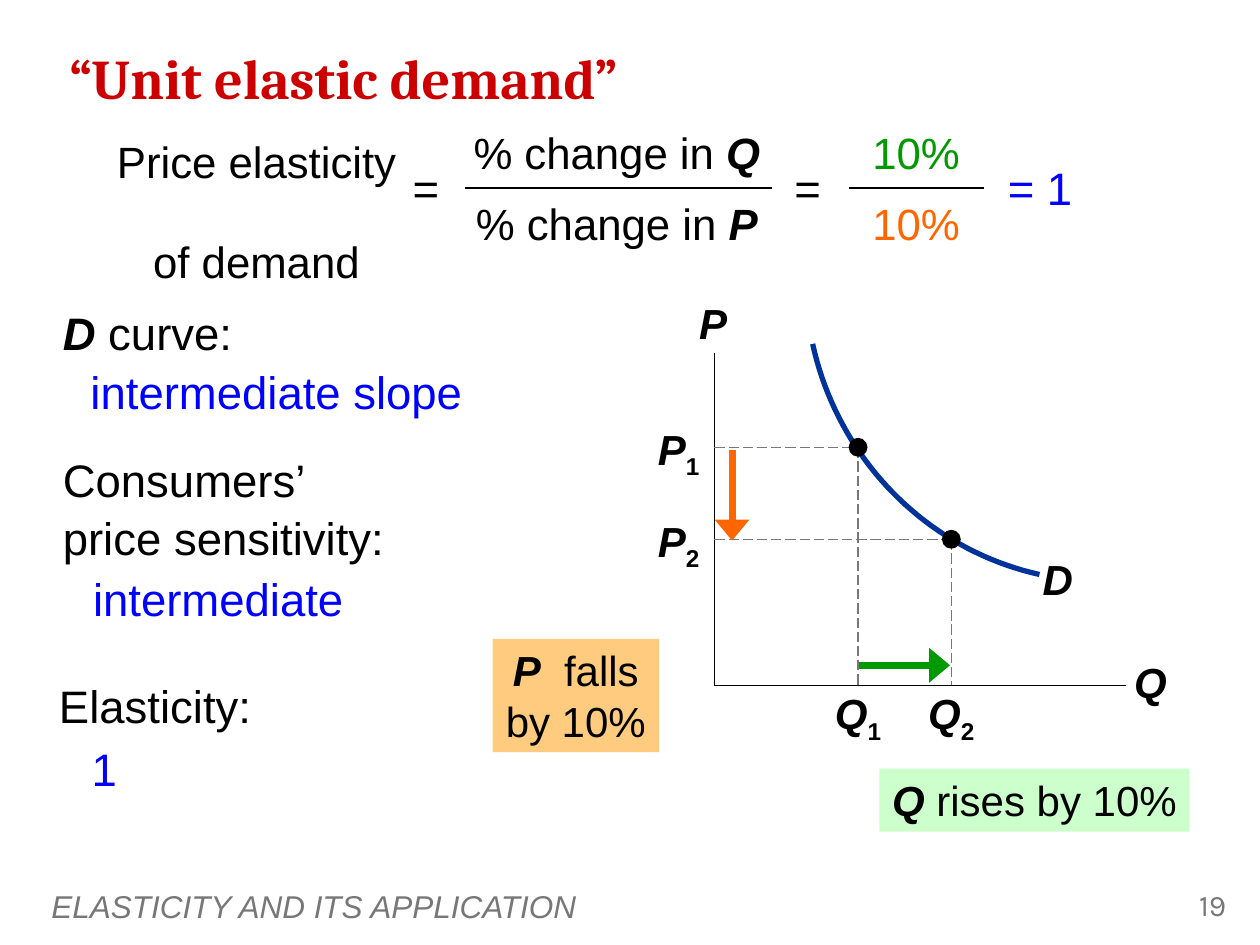
from lxml import etree
from pptx import Presentation, util as u
from pptx.dml.color import RGBColor
from pptx.enum import dml, shapes, text
from pptx.oxml.ns import qn

BLACK, GREY = RGBColor(0, 0, 0), RGBColor(0x77, 0x77, 0x77)
RED, NAVY = RGBColor(0xCC, 0, 0), RGBColor(0, 0x33, 0x99)
BLUE, GREEN = RGBColor(0, 0, 0xFF), RGBColor(0, 0x99, 0)
ORANGE, AMBER = RGBColor(0xFF, 0x66, 0), RGBColor(0xFF, 0x99, 0)
MINT = RGBColor(0xCC, 0xFF, 0xCC)
LEFT, CENTER, RIGHT = text.PP_ALIGN.LEFT, text.PP_ALIGN.CENTER, text.PP_ALIGN.RIGHT
MIDDLE = text.MSO_ANCHOR.MIDDLE

ORIGIN = X0, Y0 = 5.67, 5.44
POINTS = [("1", 6.81, 3.55), ("2", 7.55, 4.28)]
CURVE = [(8.25, 4.56), (7.35, 4.36), (6.65, 3.64), (6.45, 2.73)]
DOT = 0.15

NOTES = [
    (0.4, 2.35, 1.63, [("D", "bi"), (" curve:", "")], BLACK),
    (0.62, 2.82, 3.83, "intermediate slope", BLUE),
    (0.4, 3.52, 3.71, "Consumers’\nprice sensitivity:", BLACK),
    (0.64, 4.46, 2.87, "intermediate", BLUE),
    (0.37, 5.31, 1.77, "Elasticity:", BLACK),
    (0.63, 5.81, 2, "1", BLUE),
]
FRACTIONS = [
    (3.59, 2.61, [("% change in ", ""), ("Q", "bi")], [("% change in ", ""), ("P", "bi")],
     BLACK, BLACK, 3.69, 6.13),
    (6.63, 1.28, "10%", "10%", GREEN, ORANGE, 6.74, 7.81),
]
SIGNS = [(3.13, 0.5, "=", BLACK), (6.16, 0.5, "=", BLACK), (7.88, 0.75, "= 1", BLUE)]
AXIS_LABELS = [("P", 5.28, 2.31, 0.76), ("Q", 8.75, 5.16, 0.76), ("D", 8.09, 4.34, 0.61)]

prs = Presentation()
prs.slide_width, prs.slide_height = u.Inches(10), u.Inches(7.5)
s = prs.slides.add_slide(prs.slide_layouts[6])


def inches(*values):
    return [u.Inches(v) for v in values]


def add_text(content, x, y, w, h, size=24, color=BLACK, font="Arial", style="",
             align=CENTER, anchor=text.MSO_ANCHOR.TOP, spacing=None, gap=0,
             fill=None, alpha=None):
    if fill is None:
        sp = s.shapes.add_textbox(*inches(x, y, w, h))
    else:
        sp = s.shapes.add_shape(shapes.MSO_SHAPE.RECTANGLE, *inches(x, y, w, h))
        sp.shadow.inherit = False
        sp.line.fill.background()
        sp.fill.solid()
        sp.fill.fore_color.rgb = fill
        if alpha is not None:
            node = sp.fill._xPr.find(".//" + qn("a:srgbClr"))
            etree.SubElement(node, qn("a:alpha")).set("val", str(alpha * 1000))
    tf = sp.text_frame
    tf.word_wrap, tf.vertical_anchor = True, anchor
    paragraphs = content if isinstance(content, tuple) else (content,)
    for i, runs in enumerate(paragraphs):
        p = tf.add_paragraph() if i else tf.paragraphs[0]
        p.alignment = align
        if spacing:
            p.line_spacing = spacing
        if i:
            p.space_before = u.Pt(gap)
        for words, marks in [(runs, style)] if isinstance(runs, str) else runs:
            for n, line in enumerate(words.split("\n")):
                if n:
                    p.add_line_break()
                r = p.add_run()
                r.text = line
                r.font.name, r.font.size = font, u.Pt(size)
                r.font.color.rgb = color
                r.font.bold, r.font.italic = "b" in marks, "i" in marks
                if "_" in marks:
                    r._r.get_or_add_rPr().set("baseline", "-25000")


def add_line(start, end, color=BLACK, width=1, dashed=False, arrow=False):
    c = s.shapes.add_connector(shapes.MSO_CONNECTOR.STRAIGHT, *inches(*start, *end))
    c.line.color.rgb, c.line.width = color, u.Pt(width)
    if dashed:
        c.line.dash_style = dml.MSO_LINE.LONG_DASH
    if arrow:
        tail = etree.SubElement(c.line._get_or_add_ln(), qn("a:tailEnd"))
        for key, value in (("type", "triangle"), ("w", "lg"), ("len", "med")):
            tail.set(key, value)
    etree.SubElement(c._element.spPr, qn("a:effectLst"))


def bezier(t):
    weights = ((1 - t) ** 3, 3 * t * (1 - t) ** 2, 3 * t * t * (1 - t), t ** 3)
    return inches(*(sum(k * pt[axis] for k, pt in zip(weights, CURVE)) for axis in (0, 1)))


def add_curve(steps=40):
    first, *rest = [bezier(i / steps) for i in range(steps + 1)]
    fb = s.shapes.build_freeform(*first)
    fb.add_line_segments(rest, close=False)
    sp = fb.convert_to_shape()
    sp.shadow.inherit = False
    sp.fill.background()
    sp.line.color.rgb, sp.line.width = NAVY, u.Pt(3)


def add_dot(x, y):
    sp = s.shapes.add_shape(shapes.MSO_SHAPE.OVAL, *inches(x - DOT / 2, y - DOT / 2, DOT, DOT))
    sp.shadow.inherit = False
    sp.fill.solid()
    sp.fill.fore_color.rgb = BLACK
    sp.line.fill.background()


add_text("“Unit elastic demand”", 0.45, 0.27, 5.58, 0.68, size=32, color=RED,
         font="Cambria", style="b", align=LEFT, anchor=MIDDLE)
add_text("ELASTICITY AND ITS APPLICATION", 0.31, 6.99, 8.02, 0.4, size=18, color=GREY,
         style="i", align=LEFT, anchor=MIDDLE)
add_text("19", 9.08, 6.99, 0.75, 0.4, size=17, color=GREY, font="Karla", align=RIGHT)

add_text(("Price elasticity", "of demand"), 0.79, 1.05, 2.49, 1.29, size=25,
         spacing=0.95, gap=28.5)
for x, w, top, bottom, top_color, bottom_color, bar_from, bar_to in FRACTIONS:
    add_text(top, x, 0.95, w, 0.52, size=25, color=top_color)
    add_text(bottom, x, 1.51, w, 0.52, size=25, color=bottom_color)
    add_line((bar_from, 1.49), (bar_to, 1.49))
for x, w, sign, color in SIGNS:
    add_text(sign, x, 1.22, w, 0.54, size=26, color=color)

for x, y, w, note, color in NOTES:
    add_text(note, x, y, w, 1.06 if "\n" in note else 0.58, size=26, color=color,
             align=LEFT, spacing=1.05)

add_curve()
add_line((X0, 2.8), ORIGIN)
add_line(ORIGIN, (8.94, Y0))
for label, x, y, w in AXIS_LABELS:
    add_text(label, x, y, w, 0.5, style="bi")
for number, x, y in POINTS:
    add_line((x, y), (x, Y0), GREY, 0.75, dashed=True)
    add_line((X0, y), (x, y), GREY, 0.75, dashed=True)
    add_dot(x, y)
    add_text([("Q", "bi"), (number, "b_")], x - 0.32, 5.41, 0.64, 0.56)
    add_text([("P", "bi"), (number, "b_")], 4.99, y - 0.24, 0.66, 0.56, align=RIGHT)

(_, q1, p1), (_, q2, p2) = POINTS
add_line((5.81, p1 + 0.02), (5.81, p2 + 0.01), ORANGE, 4, arrow=True)
add_line((q1 + 0.01, 5.28), (q2 - 0.01, 5.28), GREEN, 4, arrow=True)
add_text([("Q", "bi"), (" rises by 10%", "")], 6.98, 6.1, 2.46, 0.5, fill=MINT)
add_text([("P", "bi"), ("  falls by 10%", "")], 3.91, 5.07, 1.32, 0.9, fill=AMBER, alpha=50)

prs.save("out.pptx")
